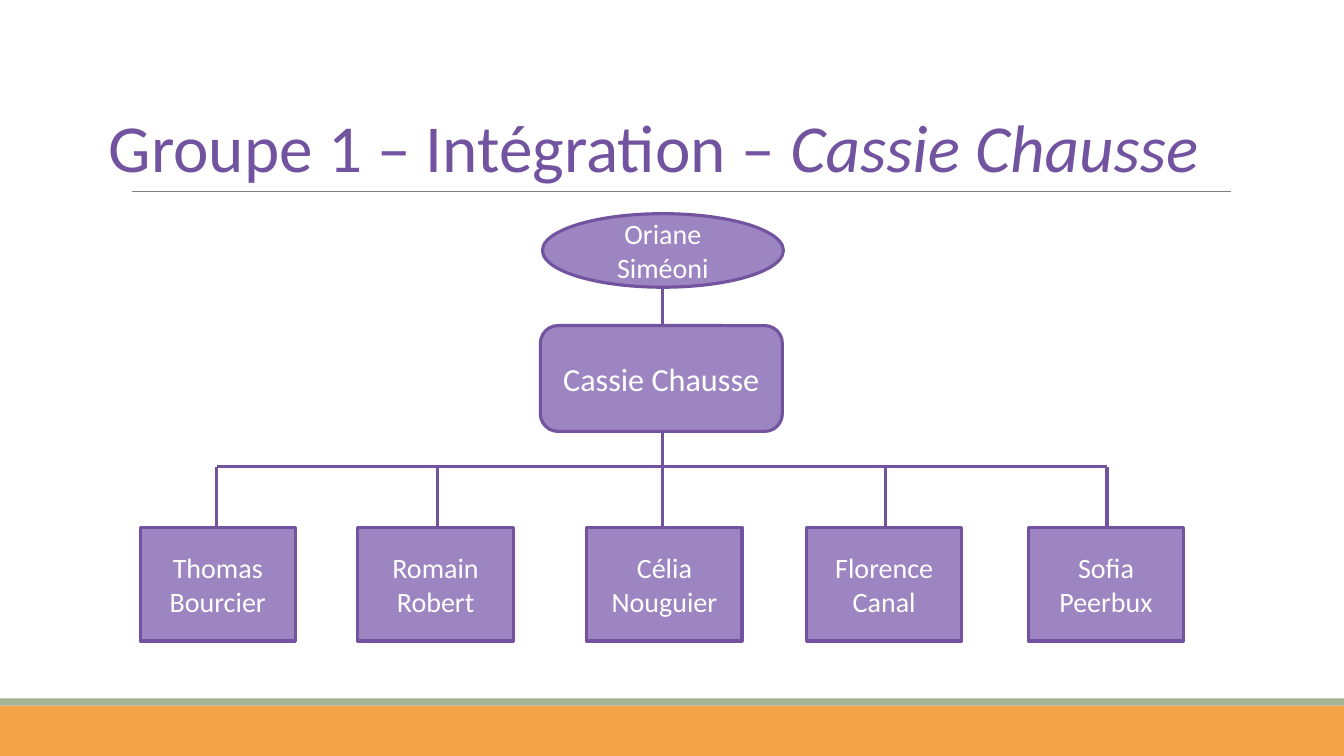
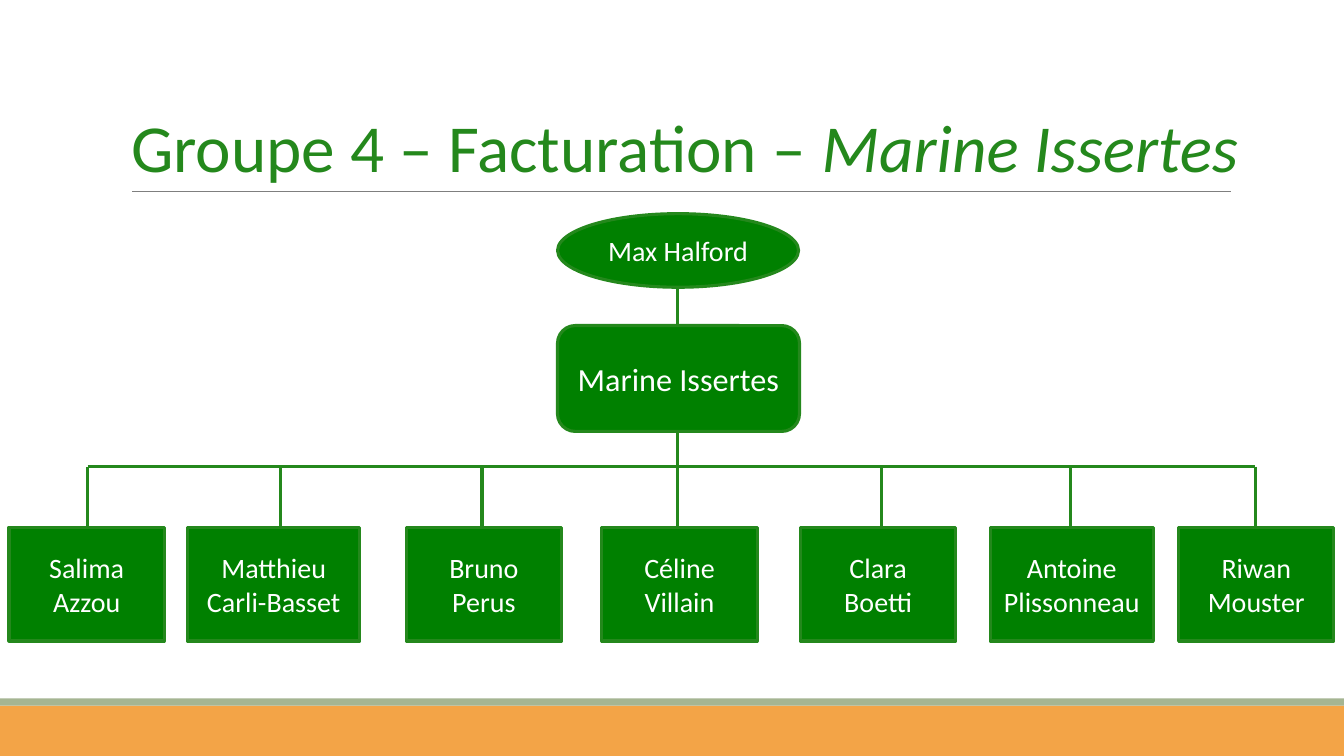
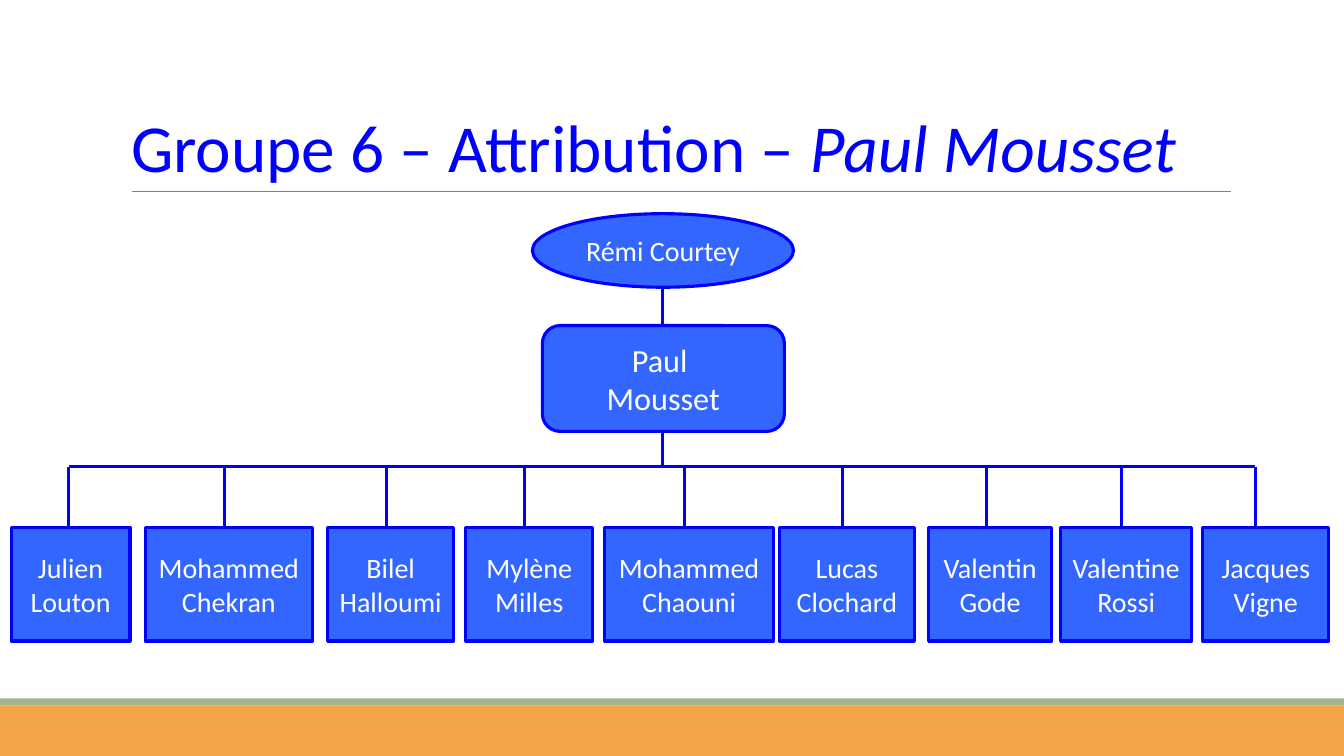
from dataclasses import dataclass

from lxml import etree
from pptx import Presentation
from pptx.dml.color import RGBColor
from pptx.enum import shapes, text
from pptx.oxml import ns
from pptx.util import Inches, Pt

FONT = "Calibri"
WHITE, ORANGE, SAGE, GREY = "FFFFFF", "F3A447", "A5B592", "7F7F7F"
SLIDE_WIDTH, SLIDE_HEIGHT = 13.33, 7.5
TITLE_TOP, TITLE_HEIGHT = 0.31, 1.59
RAIL_Y = 4.63
MEMBER_TOP, MEMBER_HEIGHT = 5.23, 1.13
SHAPE = shapes.MSO_SHAPE


@dataclass
class Group:
    subject: str
    leader: str
    title_left: float
    title_width: float
    fill: str
    line: str
    spine_x: float
    adviser_box: tuple   # name, left, width
    leader_box: tuple    # name, left, width
    members: list        # name, left, width, x of the stem


GROUPS = [
    Group("Groupe 1 – Intégration – ", "Cassie Chausse", 0.98, 11.76,
          "9C85C0", "7153A0", 6.57,
          ("Oriane Siméoni", 5.38, 2.39), ("Cassie Chausse", 5.36, 2.4),
          [("Thomas Bourcier", 1.39, 1.54, 2.15),
           ("Romain Robert", 3.55, 1.54, 4.34),
           ("Célia Nouguier", 5.82, 1.54, 6.57),
           ("Florence Canal", 8, 1.54, 8.78),
           ("Sofia\nPeerbux", 10.2, 1.54, 10.98)]),
    Group("Groupe 4 – Facturation – ", "Marine Issertes", 1.2, 11.26,
          "008000", "24881C", 6.72,
          ("Max Halford", 5.53, 2.39), ("Marine Issertes", 5.53, 2.4),
          [("Salima Azzou", 0.09, 1.54, 0.87),
           ("Matthieu Carli-Basset", 1.86, 1.71, 2.78),
           ("Bruno Perus", 4.03, 1.54, 4.78),
           ("Céline Villain", 5.97, 1.54, 6.72),
           ("Clara\vBoetti", 7.94, 1.54, 8.74),
           ("Antoine Plissonneau", 9.82, 1.62, 10.62),
           ("Riwan Mouster", 11.69, 1.54, 12.45)]),
    Group("Groupe 6 – Attribution – ", "Paul Mousset", 1.2, 11,
          "3366FF", "0000FF", 6.57,
          ("Rémi Courtey", 5.28, 2.59), ("Paul \nMousset", 5.38, 2.4),
          [("Julien Louton", 0.11, 1.18, 0.68),
           ("Mohammed Chekran", 1.44, 1.66, 2.23),
           ("Bilel Halloumi", 3.25, 1.25, 3.83),
           ("Mylène Milles", 4.62, 1.26, 5.2),
           ("Mohammed Chaouni", 6, 1.67, 6.79),
           ("Lucas Clochard", 7.73, 1.34, 8.36),
           ("Valentin Gode", 9.21, 1.22, 9.78),
           ("Valentine Rossi", 10.52, 1.3, 11.12),
           ("Jacques Vigne", 11.93, 1.25, 12.45)]),
]


def color(value):
    return RGBColor.from_string(value)


def add_line(slide, x1, y1, x2, y2, line, width=2.25):
    connector = slide.shapes.add_connector(
        shapes.MSO_CONNECTOR.STRAIGHT,
        Inches(x1), Inches(y1), Inches(x2), Inches(y2))
    connector.line.color.rgb = color(line)
    connector.line.width = Pt(width)
    etree.SubElement(connector.element.spPr, ns.qn("a:effectLst"))
    return connector


def add_panel(slide, kind, left, top, width, height, fill, line=None):
    shape = slide.shapes.add_shape(
        kind, Inches(left), Inches(top), Inches(width), Inches(height))
    shape.shadow.inherit = False
    shape.fill.solid()
    shape.fill.fore_color.rgb = color(fill)
    if line:
        shape.line.color.rgb = color(line)
        shape.line.width = Pt(2.25)
    else:
        shape.line.fill.background()
    return shape


def add_person(slide, group, kind, name, left, top, width, height, size=20):
    shape = add_panel(slide, kind, left, top, width, height, group.fill, group.line)
    frame = shape.text_frame
    frame.text = name
    frame.word_wrap = True
    frame.vertical_anchor = text.MSO_ANCHOR.MIDDLE
    for paragraph in frame.paragraphs:
        paragraph.alignment = text.PP_ALIGN.CENTER
        for run in paragraph.runs:
            run.font.name = FONT
            run.font.size = Pt(size)
            run.font.color.rgb = color(WHITE)


def decorate_layout(layout, slide):
    """Draw the shared bands and rule, then place them behind the layout's title."""
    for placeholder in list(layout.placeholders):
        if placeholder.placeholder_format.type != shapes.PP_PLACEHOLDER.TITLE:
            placeholder.element.getparent().remove(placeholder.element)
    decorations = [
        add_panel(slide, SHAPE.RECTANGLE, 0, 7, SLIDE_WIDTH, 0.5, ORANGE),
        add_panel(slide, SHAPE.RECTANGLE, 0, 6.93, SLIDE_WIDTH, 0.07, SAGE),
        add_line(slide, 1.31, 1.9, 12.21, 1.9, GREY, 0.75),
    ]
    for position, shape in enumerate(decorations, start=2):
        layout.shapes.element.insert(position, shape.element)


def write_title(slide, group):
    title = slide.shapes.title
    title.left, title.top = Inches(group.title_left), Inches(TITLE_TOP)
    title.width, title.height = Inches(group.title_width), Inches(TITLE_HEIGHT)
    frame = title.text_frame
    frame.auto_size = text.MSO_AUTO_SIZE.NONE
    frame.word_wrap = True
    frame.vertical_anchor = text.MSO_ANCHOR.BOTTOM
    paragraph = frame.paragraphs[0]
    paragraph.alignment = text.PP_ALIGN.LEFT
    paragraph.line_spacing = 0.85
    for words, italic in ((group.subject, False), (group.leader, True)):
        run = paragraph.add_run()
        run.text = words
        run.font.name = FONT
        run.font.size = Pt(48)
        run.font.italic = italic
        run.font.color.rgb = color(group.line)


def draw_chart(slide, group):
    # Lines first, so that the boxes cover their ends
    stems = [member[3] for member in group.members]
    add_line(slide, stems[0], RAIL_Y, stems[-1], RAIL_Y, group.line)
    for x in stems:
        add_line(slide, x, RAIL_Y, x, MEMBER_TOP, group.line)
    for top, bottom in ((2.62, 3.23), (4.02, RAIL_Y)):
        add_line(slide, group.spine_x, top, group.spine_x, bottom, group.line)

    # Adviser, leader and members
    name, left, width = group.adviser_box
    add_person(slide, group, SHAPE.OVAL, name, left, 2.12, width, 0.73)
    name, left, width = group.leader_box
    add_person(slide, group, SHAPE.ROUNDED_RECTANGLE, name, left, 3.23, width, 1.05, 23)
    for name, left, width, _ in group.members:
        add_person(slide, group, SHAPE.RECTANGLE, name,
                   left, MEMBER_TOP, width, MEMBER_HEIGHT)


def main():
    presentation = Presentation()
    presentation.slide_width = Inches(SLIDE_WIDTH)
    presentation.slide_height = Inches(SLIDE_HEIGHT)
    layout = presentation.slide_layouts.get_by_name("Title Only")
    for number, group in enumerate(GROUPS):
        slide = presentation.slides.add_slide(layout)
        if number == 0:
            decorate_layout(layout, slide)
        write_title(slide, group)
        draw_chart(slide, group)
    presentation.save("out.pptx")


if __name__ == "__main__":
    main()
